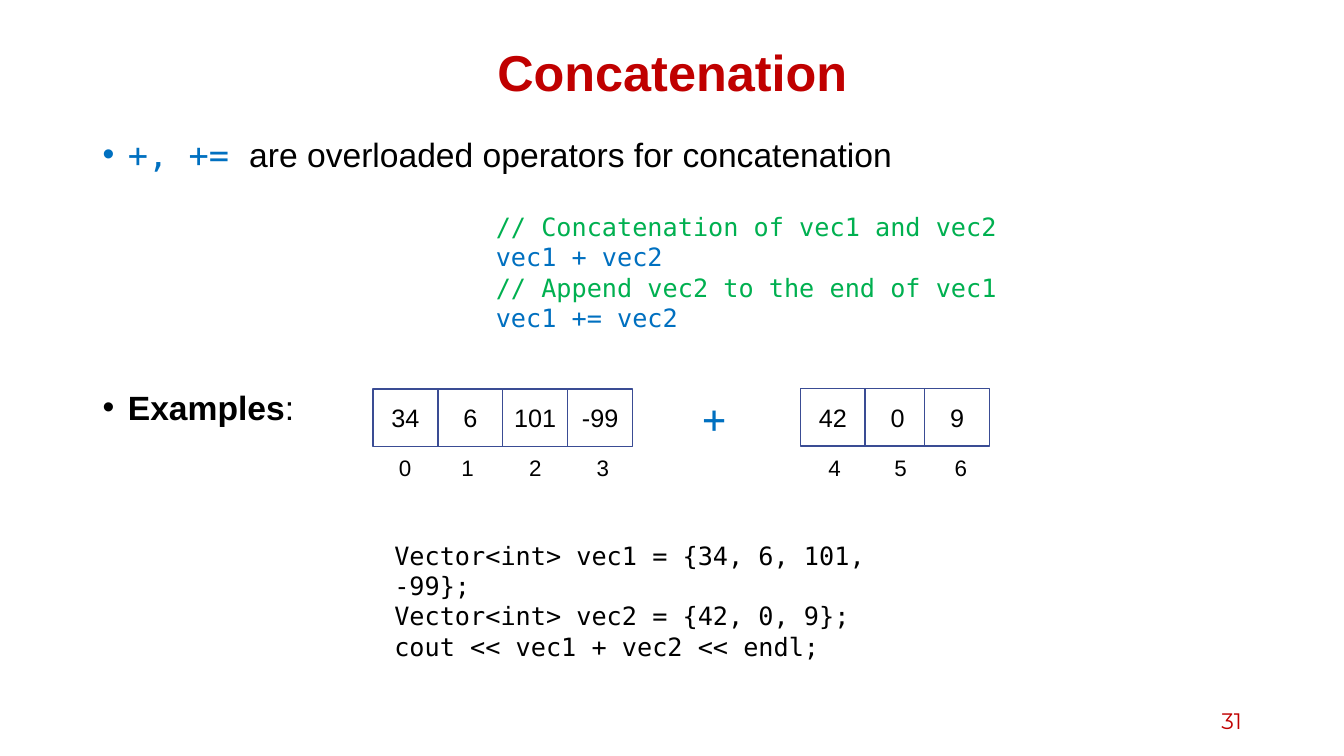
from dataclasses import dataclass
from typing import NamedTuple, Optional

from lxml import etree
from pptx import Presentation
from pptx.dml.color import RGBColor
from pptx.enum.shapes import MSO_SHAPE
from pptx.enum.text import MSO_ANCHOR, MSO_AUTO_SIZE, PP_ALIGN
from pptx.oxml.ns import qn
from pptx.util import Inches, Pt

RECTANGLE = MSO_SHAPE.RECTANGLE
TOP, MIDDLE = MSO_ANCHOR.TOP, MSO_ANCHOR.MIDDLE
LEFT, CENTER, RIGHT = PP_ALIGN.LEFT, PP_ALIGN.CENTER, PP_ALIGN.RIGHT
NO_AUTOFIT = MSO_AUTO_SIZE.NONE

SLIDE_WIDTH, SLIDE_HEIGHT = Inches(13.33), Inches(7.5)
COLUMN, ROW = SLIDE_WIDTH / 100, SLIDE_HEIGHT / 100


@dataclass(frozen=True)
class Theme:
    sans: str = "Arial"
    mono: str = "DejaVu Sans Mono"
    number_font: str = "Montserrat"
    red: str = "C00000"
    blue: str = "0070C0"
    green: str = "00B050"
    black: str = "000000"
    white: str = "FFFFFF"
    outline: str = "3A4C94"
    title_size: int = 36
    plus_size: int = 28
    body_size: int = 24
    code_size: int = 18
    index_size: int = 16


THEME = Theme()


class Area(NamedTuple):
    column: float
    row: float
    columns: float
    rows: float

    def emu(self) -> tuple[int, int, int, int]:
        return (round(self.column * COLUMN), round(self.row * ROW),
                round(self.columns * COLUMN), round(self.rows * ROW))


class Span(NamedTuple):
    text: str
    size: int
    color: str = THEME.black
    font: str = THEME.sans
    bold: bool = False


@dataclass(frozen=True)
class Line:
    spans: list[Span]
    align: PP_ALIGN = LEFT
    spacing: Optional[float] = None
    space_before: int = 0
    bullet: bool = False


class Cell(NamedTuple):
    value: str
    index: str
    column: float
    index_column: float


class Vector(NamedTuple):
    row: float
    cells: list[Cell]


CELL_COLUMNS, CELL_ROWS = 4.83, 7.6
INDEX_COLUMNS, INDEX_ROWS, INDEX_DROP = 3, 4.93, 7.95

VECTORS = [
    Vector(51.47, [
        Cell("34", "0", 27.75, 28.65),
        Cell("6", "1", 32.58, 33.3),
        Cell("101", "2", 37.41, 38.33),
        Cell("-99", "3", 42.24, 43.36),
    ]),
    Vector(51.4, [
        Cell("42", "4", 59.55, 60.6),
        Cell("0", "5", 64.37, 65.5),
        Cell("9", "6", 68.8, 70),
    ]),
]


def code(text: str, color: str = THEME.black) -> Line:
    return Line([Span(text, THEME.code_size, color, THEME.mono)])


def add_bullet(paragraph) -> None:
    properties = paragraph._p.get_or_add_pPr()
    properties.set("marL", str(Inches(0.25)))
    properties.set("indent", str(-Inches(0.25)))
    etree.SubElement(properties, qn("a:buFont")).set("typeface", THEME.sans)
    etree.SubElement(properties, qn("a:buChar")).set("char", "•")


def write(frame, lines: list[Line], anchor: MSO_ANCHOR = TOP) -> None:
    frame.word_wrap = True
    frame.auto_size = NO_AUTOFIT
    frame.vertical_anchor = anchor
    for number, line in enumerate(lines):
        paragraph = frame.add_paragraph() if number else frame.paragraphs[0]
        paragraph.alignment = line.align
        if line.spacing:
            paragraph.line_spacing = line.spacing
        if line.space_before:
            paragraph.space_before = Pt(line.space_before)
        if line.bullet:
            add_bullet(paragraph)
        for span in line.spans:
            run = paragraph.add_run()
            run.text = span.text
            run.font.name = span.font
            run.font.size = Pt(span.size)
            run.font.bold = span.bold
            run.font.color.rgb = RGBColor.from_string(span.color)


def add_text(shapes, area: Area, lines: list[Line], anchor: MSO_ANCHOR = TOP) -> None:
    write(shapes.add_textbox(*area.emu()).text_frame, lines, anchor)


def add_vector(shapes, vector: Vector) -> None:
    members = shapes.add_group_shape().shapes
    for cell in vector.cells:
        area = Area(cell.column, vector.row, CELL_COLUMNS, CELL_ROWS)
        square = members.add_shape(RECTANGLE, *area.emu())
        square.shadow.inherit = False
        square.fill.solid()
        square.fill.fore_color.rgb = RGBColor.from_string(THEME.white)
        square.line.color.rgb = RGBColor.from_string(THEME.outline)
        square.line.width = Pt(1)
        write(square.text_frame, [Line([Span(cell.value, THEME.code_size)], CENTER)], MIDDLE)
    for cell in vector.cells:
        area = Area(cell.index_column, vector.row + INDEX_DROP, INDEX_COLUMNS, INDEX_ROWS)
        add_text(members, area, [Line([Span(cell.index, THEME.index_size)], CENTER)])


def main() -> None:
    deck = Presentation()
    deck.slide_width, deck.slide_height = SLIDE_WIDTH, SLIDE_HEIGHT
    slide = deck.slides.add_slide(deck.slide_layouts.get_by_name("Title Only"))
    shapes = slide.shapes

    title = shapes.title
    title.left, title.top, title.width, title.height = Area(6.9, 5.33, 86.25, 9.33).emu()
    heading = Span("Concatenation", THEME.title_size, THEME.red, bold=True)
    write(title.text_frame, [Line([heading], CENTER, 0.9)], MIDDLE)

    add_text(shapes, Area(6.9, 17.6, 86.25, 73.47), [
        Line([Span("+, += ", THEME.body_size, THEME.blue, THEME.mono),
              Span("are overloaded operators for concatenation", THEME.body_size)],
             spacing=0.9, bullet=True),
        Line([Span("Examples", THEME.body_size, bold=True), Span(":", THEME.body_size)],
             spacing=0.9, space_before=155, bullet=True),
    ])
    page_number = Span("31", THEME.index_size, THEME.red, THEME.number_font)
    add_text(shapes, Area(70.65, 92.67, 22.5, 5.33), [Line([page_number], RIGHT)], MIDDLE)

    add_text(shapes, Area(36.15, 27.33, 40.35, 17.47), [
        code("// Concatenation of vec1 and vec2", THEME.green),
        code("vec1 + vec2", THEME.blue),
        code("// Append vec2 to the end of vec1", THEME.green),
        code("vec1 += vec2", THEME.blue),
    ])
    for vector in VECTORS:
        add_vector(shapes, vector)
    plus = Span("+", THEME.plus_size, THEME.blue, THEME.mono)
    add_text(shapes, Area(51.53, 51.47, 4.8, 7.6), [Line([plus])])
    add_text(shapes, Area(28.6, 70.8, 41.4, 13.47), [
        code("Vector<int> vec1 = {34, 6, 101, -99};"),
        code("Vector<int> vec2 = {42, 0, 9};"),
        code("cout << vec1 + vec2 << endl;"),
    ])

    deck.save("out.pptx")


if __name__ == "__main__":
    main()
